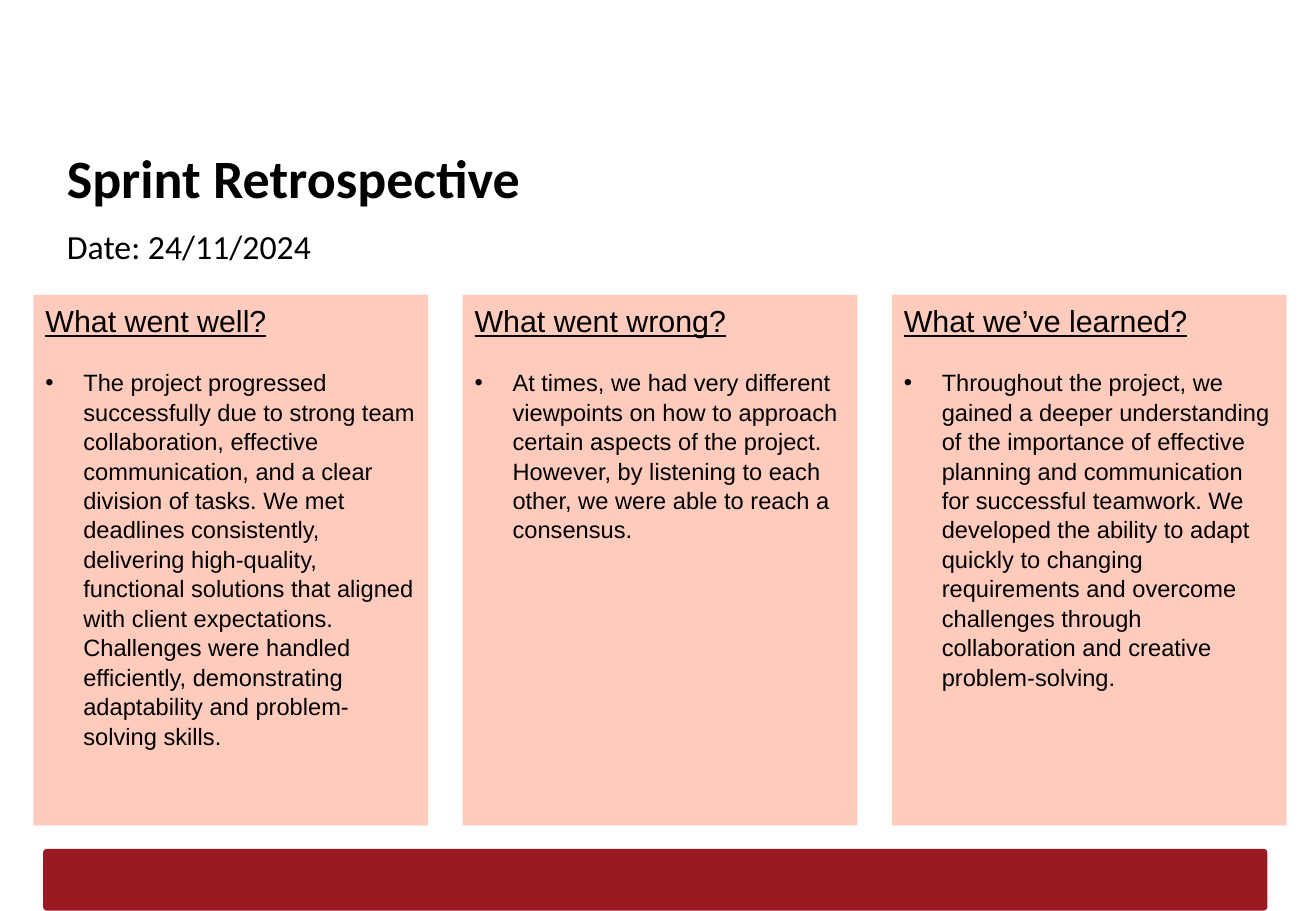
from dataclasses import dataclass

from lxml.etree import SubElement
from pptx import Presentation
from pptx.dml.color import RGBColor
from pptx.enum.shapes import MSO_SHAPE
from pptx.enum.text import MSO_ANCHOR, MSO_AUTO_SIZE, PP_ALIGN
from pptx.oxml.ns import qn
from pptx.shapes.autoshape import Shape
from pptx.slide import Slide
from pptx.util import Pt

BLACK = RGBColor(0x00, 0x00, 0x00)
PINK = RGBColor(0xFF, 0xCB, 0xBD)
DARK_RED = RGBColor(0x9A, 0x1A, 0x24)

COLUMN_LEFT, COLUMN_TOP = 19.8, 174.75
COLUMN_WIDTH, COLUMN_HEIGHT = 234, 314.6
COLUMN_STEP = 254.4
LINE_SPACING = 1.045
BULLET_INDENT = 22.5


@dataclass
class Column:
    heading: str
    point: str


COLUMNS = [
    Column(
        "What went well?",
        "The project progressed successfully due to strong team collaboration, effective "
        "communication, and a clear division of tasks. We met deadlines consistently, "
        "delivering high-quality, functional solutions that aligned with client expectations. "
        "Challenges were handled efficiently, demonstrating adaptability and problem-solving "
        "skills.",
    ),
    Column(
        "What went wrong?",
        "At times, we had very different viewpoints on how to approach certain aspects of the "
        "project. However, by listening to each other, we were able to reach a consensus.",
    ),
    Column(
        "What we’ve learned?",
        "Throughout the project, we gained a deeper understanding of the importance of "
        "effective planning and communication for successful teamwork. We developed the "
        "ability to adapt quickly to changing requirements and overcome challenges through "
        "collaboration and creative problem-solving.",
    ),
]


def set_bullet(para, indent: float, bullet: str | None) -> None:
    """Give the paragraph a hanging bullet, or none at all."""
    properties = para._p.get_or_add_pPr()
    properties.set("marL", str(Pt(indent)))
    properties.set("indent", str(-Pt(indent)))
    if bullet:
        SubElement(properties, qn("a:buFont"), typeface="Arial")
        SubElement(properties, qn("a:buChar"), char=bullet)
    else:
        SubElement(properties, qn("a:buNone"))


def style_paragraph(para, font_name: str, size: float) -> None:
    para.alignment = PP_ALIGN.LEFT
    para.space_before = Pt(0)
    para.font.name = font_name
    para.font.size = Pt(size)
    para.font.color.rgb = BLACK


def fill_placeholder(box: Shape, text: str, top: float, height: float, size: float):
    """Place a template placeholder, write its one line and return the paragraph."""
    box.left, box.top, box.width, box.height = Pt(32.4), Pt(top), Pt(712), Pt(height)
    frame = box.text_frame
    frame.auto_size = MSO_AUTO_SIZE.NONE
    frame.vertical_anchor = MSO_ANCHOR.TOP
    frame.margin_left = frame.margin_right = Pt(7.2)
    frame.margin_top = frame.margin_bottom = Pt(7.2)
    frame.text = text
    para = frame.paragraphs[0]
    set_bullet(para, 0, None)
    style_paragraph(para, "Calibri", size)
    return para


def add_block(slide: Slide, kind: MSO_SHAPE, left: float, top: float, width: float,
              height: float, color: RGBColor) -> Shape:
    """Add a plain filled shape without line or shadow."""
    block = slide.shapes.add_shape(kind, Pt(left), Pt(top), Pt(width), Pt(height))
    block.shadow.inherit = False
    block.fill.solid()
    block.fill.fore_color.rgb = color
    block.line.fill.background()
    return block


def add_column(slide: Slide, column: Column, left: float) -> None:
    box = add_block(slide, MSO_SHAPE.RECTANGLE, left, COLUMN_TOP,
                    COLUMN_WIDTH, COLUMN_HEIGHT, PINK)
    frame = box.text_frame
    frame.word_wrap = True
    frame.vertical_anchor = MSO_ANCHOR.TOP
    heading = frame.paragraphs[0]
    heading.text = column.heading
    style_paragraph(heading, "Arial", 18)
    heading.font.underline = True
    heading.line_spacing = LINE_SPACING

    point = frame.add_paragraph()
    point.text = column.point
    set_bullet(point, BULLET_INDENT, "•")
    style_paragraph(point, "Arial", 14)
    point.line_spacing = LINE_SPACING
    point.space_before = Pt(16.8)


def main() -> None:
    deck = Presentation()
    deck.slide_width, deck.slide_height = Pt(780), Pt(540)
    slide = deck.slides.add_slide(deck.slide_layouts[1])

    title = fill_placeholder(slide.shapes.title, "Sprint Retrospective", 78.5, 45.4, 32)
    title.font.bold = True
    date = fill_placeholder(slide.placeholders[1], "Date: 24/11/2024", 126.7, 361.4, 20)
    date.space_after = Pt(4)

    for index, column in enumerate(COLUMNS):
        add_column(slide, column, COLUMN_LEFT + index * COLUMN_STEP)

    footer_bar = add_block(slide, MSO_SHAPE.ROUNDED_RECTANGLE, 25.6, 503.2, 725.6, 36.6, DARK_RED)
    footer_bar.adjustments[0] = 0.06

    deck.save("out.pptx")


if __name__ == "__main__":
    main()
